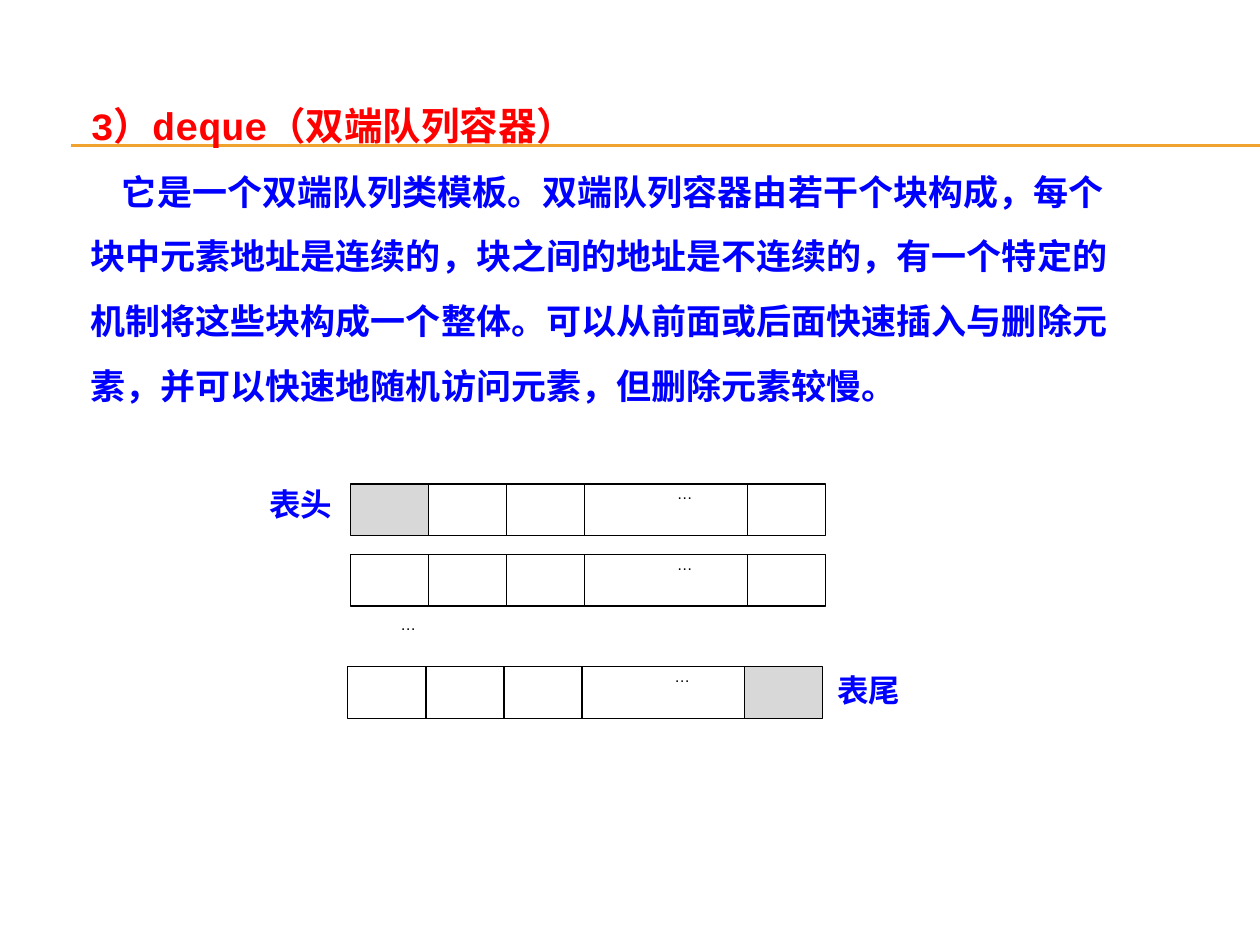
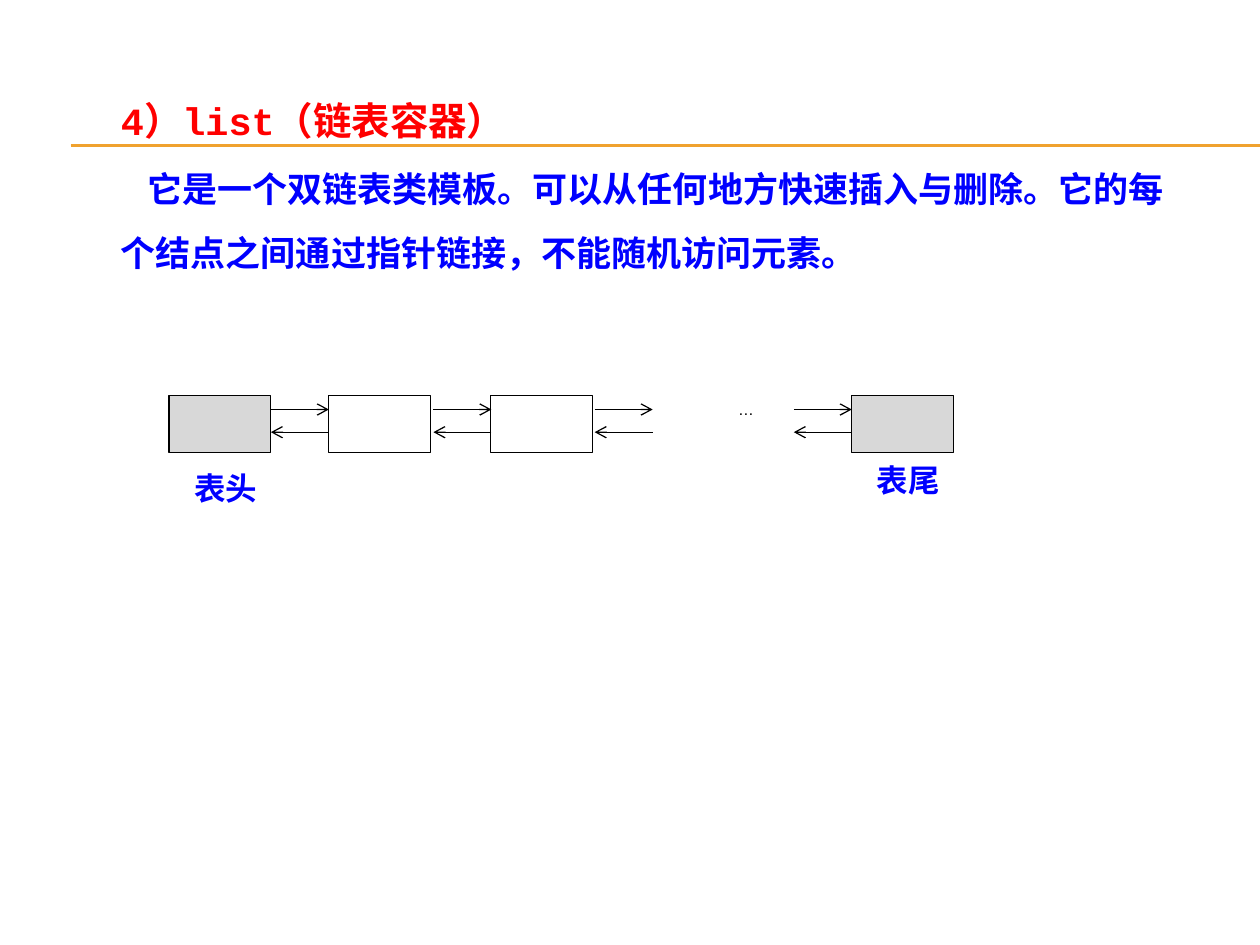
from lxml.etree import SubElement
from pptx import Presentation
from pptx.dml.color import RGBColor
from pptx.enum.shapes import MSO_CONNECTOR, MSO_SHAPE
from pptx.enum.text import MSO_ANCHOR, MSO_AUTO_SIZE, PP_ALIGN
from pptx.oxml.ns import qn
from pptx.util import Inches, Pt

COLORS = {"title": "FF0000", "body": "0000FF", "rule": "F0A22E",
          "black": "000000", "white": "FFFFFF", "end": "D8D8D8"}
CJK_FONT = "Noto Sans CJK SC"


def write(shape, text, size, font, color, bold=True, align=PP_ALIGN.LEFT,
          spacing=None, indent=0, margins=(0, 0)):
    """Fill a shape with one formatted paragraph, anchored at the top."""
    frame = shape.text_frame
    frame.word_wrap = True
    frame.auto_size = MSO_AUTO_SIZE.NONE
    frame.vertical_anchor = MSO_ANCHOR.TOP
    frame.margin_left = frame.margin_right = Inches(margins[0])
    frame.margin_top = frame.margin_bottom = Inches(margins[1])
    paragraph = frame.paragraphs[0]
    paragraph.alignment = align
    if spacing:
        paragraph.line_spacing = Pt(spacing)
    if indent:
        properties = paragraph._p.get_or_add_pPr()
        properties.set("marL", "0")
        properties.set("indent", str(Inches(indent)))
    run = paragraph.add_run()
    run.text = text
    run.font.size = Pt(size)
    run.font.name = font
    run.font.bold = bold
    run.font.color.rgb = RGBColor.from_string(COLORS[color])
    SubElement(run.font._element, qn("a:ea")).set("typeface", CJK_FONT)


def add_line(slide, start, end, color, arrow=False):
    """Draw a thin line without shadow, with an open arrowhead if asked."""
    connector = slide.shapes.add_connector(
        MSO_CONNECTOR.STRAIGHT, *[Inches(value) for value in start + end])
    connector.line.width = Pt(0.75)
    connector.line.color.rgb = RGBColor.from_string(COLORS[color])
    if arrow:
        SubElement(connector.line._get_or_add_ln(), qn("a:tailEnd")).set("type", "arrow")
    SubElement(connector.element.spPr, qn("a:effectLst"))
    return connector


presentation = Presentation()
presentation.slide_width = Inches(10)
presentation.slide_height = Inches(7.5)
layout = presentation.slide_layouts[5]

# Titles and body texts: left, width, title top, body top, line spacing, indent
contents = [
    ("3）deque（双端队列容器）",
     "它是一个双端队列类模板。双端队列容器由若干个块构成，每个块中元素地址是连续的，"
     "块之间的地址是不连续的，有一个特定的机制将这些块构成一个整体。"
     "可以从前面或后面快速插入与删除元素，并可以快速地随机访问元素，但删除元素较慢。",
     0.62, 8.44, 0.54, 1.12, 37, 0.25),
    ("4）list（链表容器）",
     "它是一个双链表类模板。可以从任何地方快速插入与删除。"
     "它的每个结点之间通过指针链接，不能随机访问元素。",
     0.86, 8.67, 0.5, 1.11, 36.5, 0.21),
]
slides = []
for title_text, body_text, left, width, title_top, body_top, spacing, indent in contents:
    slide = presentation.slides.add_slide(layout)
    slides.append(slide)
    title = slide.shapes.title
    title.left, title.top = Inches(left), Inches(title_top)
    title.width, title.height = Inches(width), Inches(0.68)
    write(title, title_text, 22, "Courier New", "title", spacing=42, margins=(0.1, 0.05))
    body = slide.shapes.add_textbox(Inches(left), Inches(body_top), Inches(width),
                                    Inches(2.15 if slide is slides[0] else 1.16))
    write(body, body_text, 20, "Courier New", "body", spacing=spacing,
          indent=indent, margins=(0.1, 0.05))
deque_slide, list_slide = slides

# Rule under the title, moved to the shared layout
for y in (1.15, 1.16):
    rule = add_line(deque_slide, (0.56, y), (10, y), "rule")
    layout.shapes.element.append(rule.element)

# Boxes: slide, left, top, width, height, fill
boxes = []

# Deque: three blocks of five cells, head and tail shaded
cell_widths = [0.62, 0.62, 0.62, 1.29, 0.62]
for row, (left, top) in enumerate([(2.78, 3.84), (2.78, 4.4), (2.76, 5.29)]):
    for column, width in enumerate(cell_widths):
        shaded = (row, column) in [(0, 0), (2, 4)]
        boxes.append((deque_slide, left + sum(cell_widths[:column]), top, width, 0.41,
                      "end" if shaded else "white"))

# List: nodes, the first and last shaded
for left, fill in [(1.34, "end"), (2.61, "white"), (3.89, "white"), (6.76, "end")]:
    boxes.append((list_slide, left, 3.14, 0.81, 0.45, fill))

for slide, left, top, width, height, fill in boxes:
    box = slide.shapes.add_shape(MSO_SHAPE.RECTANGLE, Inches(left), Inches(top),
                                 Inches(width), Inches(height))
    box.shadow.inherit = False
    box.fill.solid()
    box.fill.fore_color.rgb = RGBColor.from_string(COLORS[fill])
    box.line.color.rgb = RGBColor.from_string(COLORS["black"])
    box.line.width = Pt(0.75)
    if width == 1.29:
        write(box, "…", 9, "Arial", "black", bold=False,
              align=PP_ALIGN.CENTER, indent=0.3)

# Forward and backward pointers between the nodes
for left in (2.15, 3.44, 4.72, 6.3):
    right = left + 0.46
    add_line(list_slide, (left, 3.25), (right, 3.25), "black", arrow=True)
    add_line(list_slide, (right, 3.43), (left, 3.43), "black", arrow=True)

# Head and tail labels
for slide, text, left, top, width, font in [
        (deque_slide, "表头", 2.11, 3.84, 0.55, CJK_FONT),
        (deque_slide, "表尾", 6.62, 5.32, 0.55, CJK_FONT),
        (list_slide, "表头", 1.43, 3.72, 0.72, "Times New Roman"),
        (list_slide, "表尾", 6.85, 3.65, 0.72, "Times New Roman")]:
    label = slide.shapes.add_textbox(Inches(left), Inches(top), Inches(width), Inches(0.34))
    write(label, text, 18, font, "body", align=PP_ALIGN.CENTER, spacing=22)

# Ellipses standing for the omitted blocks and nodes
for slide, left, top, width in [(deque_slide, 2.81, 4.88, 0.56),
                                (list_slide, 5.41, 3.17, 0.72)]:
    ellipsis = slide.shapes.add_textbox(Inches(left), Inches(top), Inches(width), Inches(0.33))
    write(ellipsis, "…", 9, "Arial", "black", bold=False,
          align=PP_ALIGN.CENTER, indent=0.3)

presentation.save("out.pptx")
